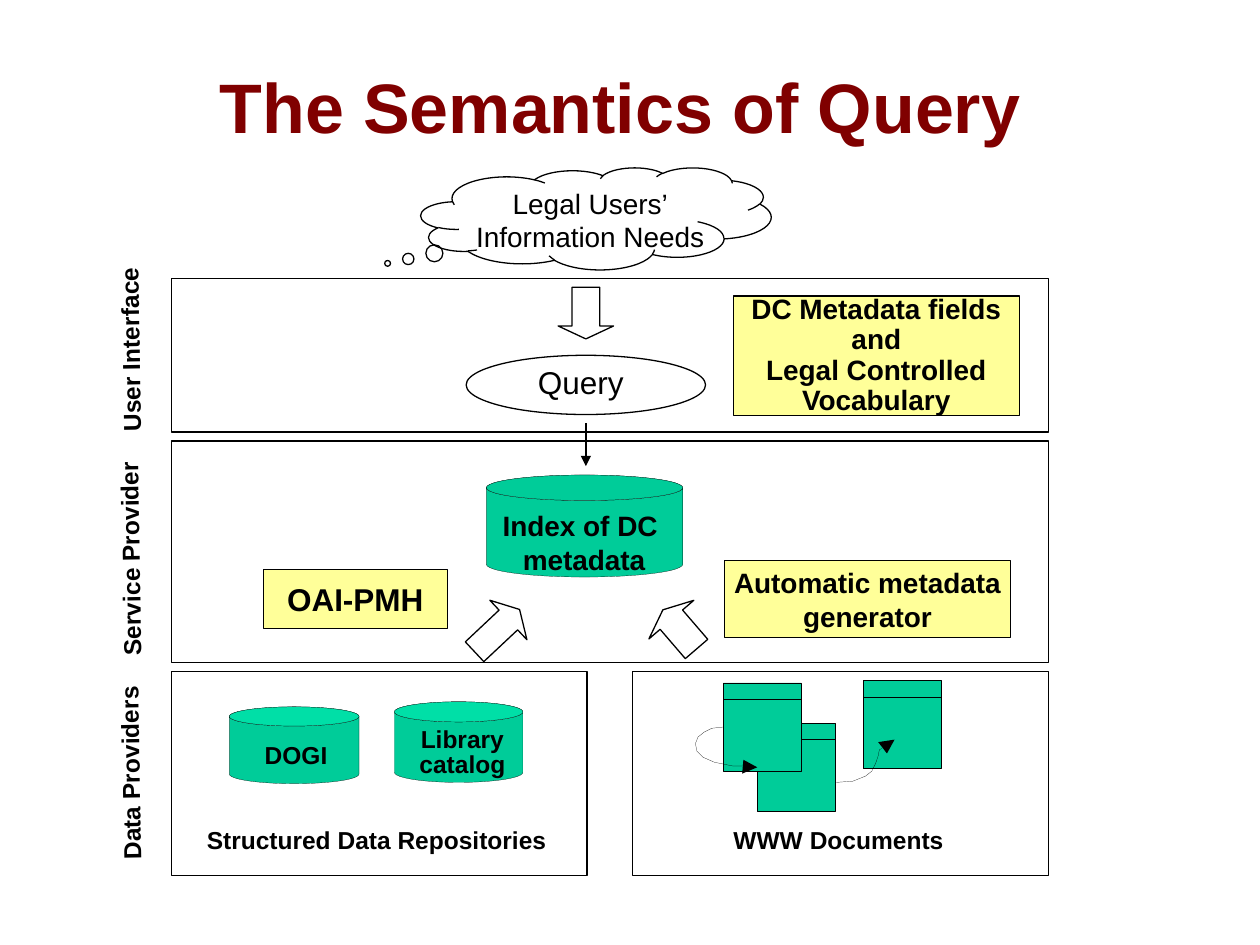
from pptx import Presentation
from pptx.dml.color import RGBColor
from pptx.enum.shapes import MSO_CONNECTOR, MSO_SHAPE
from pptx.enum.text import MSO_ANCHOR, MSO_AUTO_SIZE, PP_ALIGN
from pptx.oxml.ns import qn
from pptx.util import Inches, Pt
from lxml import etree

RECT, CAN, OVAL = MSO_SHAPE.RECTANGLE, MSO_SHAPE.CAN, MSO_SHAPE.OVAL
CLOUD, DOWN, RIGHT = MSO_SHAPE.CLOUD_CALLOUT, MSO_SHAPE.DOWN_ARROW, MSO_SHAPE.RIGHT_ARROW
MIDDLE, TOP, CENTER = MSO_ANCHOR.MIDDLE, MSO_ANCHOR.TOP, PP_ALIGN.CENTER
FIT, FIXED = MSO_AUTO_SIZE.SHAPE_TO_FIT_TEXT, MSO_AUTO_SIZE.NONE
STRAIGHT = MSO_CONNECTOR.STRAIGHT

THEME = {
    "font": "Arial", "ink": "000000", "title": "800000",
    "green": "00CC99", "light": "00DFA7", "note": "FFFF99",
    "huge": 40, "large": 18, "mid": 16, "small": 14,
    "hair": 0.1, "thin": 0.75, "thick": 1.5,
}

TITLE = "The Semantics of Query"
TITLE_BOX = (0.67, 0.21, 8.5, 1.25)

# Layers of the diagram: name, height, columns, nudge of the side label
LEFT, FIRST, WIDTH, GAP, GUTTER, SIDE = 1.36, 2.21, 6.96, 0.07, 0.36, 1.03
LAYERS = [
    ("User Interface", 1.22, 1, -0.04),
    ("Service Provider", 1.76, 1, 0.06),
    ("Data Providers", 1.62, 2, 0),
]

# Outlined shapes: kind, box, rotation, adjustments
OUTLINES = [
    (CLOUD, (3.34, 1.33, 2.78, 0.81), 0, (-0.595, 0.439)),
    (DOWN, (4.43, 2.28, 0.44, 0.41), 0, (0.5, 0.25)),
    (OVAL, (3.7, 2.82, 1.9, 0.47), 0, ()),
    (RIGHT, (3.7, 4.79, 0.49, 0.43), 316.8, (0.5, 0.283)),
    (RIGHT, (5.19, 4.76, 0.41, 0.47), 229.3, (0.5, 0.25)),
]

# Notes: lines, box, size, line spacing
NOTES = [
    (["DC Metadata fields", "and", "Legal Controlled", "Vocabulary"],
     (5.82, 2.35, 2.27, 0.95), "mid", 0.9),
    (["OAI-PMH"], (2.09, 4.52, 1.46, 0.47), "large", 1),
    (["Automatic metadata", "generator"], (5.75, 4.45, 2.27, 0.61), "mid", 1),
]

# Stores: box, fill of the lid; the lid is a quarter of the height
LID = 0.25
STORES = [
    ((3.86, 3.77, 1.56, 0.81), "green"),
    ((1.82, 5.61, 1.03, 0.61), "light"),
    ((3.13, 5.57, 1.02, 0.64), "light"),
]

# Labels: lines, box, size, bold, line spacing
PAD = 0.1
LABELS = [
    (["Legal Users’\vInformation Needs"], (3.78, 1.48, 1.81, 0.54), "mid", False, 1),
    (["Query"], (4.27, 2.88, 0.68, 0.3), "large", False, 1),
    (["Index of DC ", "metadata"], (3.99, 4.04, 1.29, 0.53), "mid", True, 1),
    (["DOGI"], (2.1, 5.87, 0.5, 0.23), "small", True, 1),
    (["Library", "catalog"], (3.33, 5.78, 0.68, 0.39), "small", True, 0.85),
    (["Structured Data Repositories"], (1.64, 6.55, 2.7, 0.23), "small", True, 1),
    (["WWW Documents"], (5.82, 6.55, 1.67, 0.23), "small", True, 1),
]

# Web pages, back to front, and the links between them: curve, arrowhead
PAGE_W, PAGE_H, HEADER = 0.62, 0.7, 0.13
PAGES = [(6.01, 5.74), (6.85, 5.4), (5.74, 5.42)]
LINKS = [
    ([(5.74, 5.77), (5.65, 5.78), (5.59, 5.81), (5.54, 5.85), (5.52, 5.9), (5.53, 5.96),
      (5.58, 6.01), (5.67, 6.05), (5.82, 6.08), (5.92, 6.08)],
     [(6.01, 6.09), (5.9, 6.03), (5.89, 6.14)]),
    ([(6.63, 6.21), (6.77, 6.2), (6.87, 6.16), (6.92, 6.12), (6.95, 6.06), (6.97, 6),
      (6.98, 5.95), (7, 5.94)],
     [(7.1, 5.87), (6.97, 5.89), (7.04, 5.98)]),
]
QUERY_ARROW = ((4.65, 3.36), (4.65, 3.7))


def color(name):
    return RGBColor.from_string(THEME[name])


def paint(shape, fill=None, line="thin"):
    shape.shadow.inherit = False
    if fill:
        shape.fill.solid()
        shape.fill.fore_color.rgb = color(fill)
    else:
        shape.fill.background()
    if line:
        shape.line.color.rgb = color("ink")
        shape.line.width = Pt(THEME[line])
    else:
        shape.line.fill.background()


def write(shape, lines, size, bold=True, space=1, ink="ink", anchor=MIDDLE, wrap=False, fit=FIXED):
    frame = shape.text_frame
    form = {"word_wrap": wrap, "auto_size": fit, "vertical_anchor": anchor, "margin_left": 0,
            "margin_right": 0, "margin_top": 0, "margin_bottom": 0}
    for key, value in form.items():
        setattr(frame, key, value)
    frame.text = "\n".join(lines)
    for para in frame.paragraphs:
        para.alignment, para.line_spacing = CENTER, space
        for run in para.runs:
            for key, value in {"name": THEME["font"], "size": Pt(THEME[size]), "bold": bold}.items():
                setattr(run.font, key, value)
            run.font.color.rgb = color(ink)


def draw(shapes, kind, box, fill=None, line="thin", turn=0, adjust=()):
    shape = shapes.add_shape(kind, *map(Inches, box))
    for i, value in enumerate(adjust):
        shape.adjustments[i] = value
    shape.rotation = turn
    paint(shape, fill, line)
    return shape


def label(shapes, lines, box, size, bold=True, space=1, turn=0):
    """Add a one-size label, with room to spare on both sides of its box."""
    x, y, w, h = box
    shape = shapes.add_textbox(*map(Inches, (x - PAD, y, w + 2 * PAD, h)))
    shape.rotation = turn
    write(shape, lines, size, bold, space, anchor=TOP, fit=FIT)


def join(shapes, start, end, width, head=False):
    link = shapes.add_connector(STRAIGHT, *map(Inches, start + end))
    link.line.color.rgb = color("ink")
    link.line.width = Pt(THEME[width])
    if head:
        etree.SubElement(link.line._get_or_add_ln(), qn("a:tailEnd"), type="triangle")
    etree.SubElement(link._element.spPr, qn("a:effectLst"))


def trace(shapes, points, close, fill, line):
    """Draw an outline; the builder needs whole numbers, so it counts hundredths."""
    whole = [(round(x * 100), round(y * 100)) for x, y in points]
    form = shapes.build_freeform(*whole[0], scale=Inches(0.01))
    form.add_line_segments(whole[1:], close=close)
    paint(form.convert_to_shape(), fill, line)


def main():
    deck = Presentation()
    deck.slide_width, deck.slide_height = Inches(10), Inches(7.5)
    slide = deck.slides.add_slide(deck.slide_layouts[5])
    shapes = slide.shapes

    title = shapes.title
    title.left, title.top, title.width, title.height = map(Inches, TITLE_BOX)
    write(title, [TITLE], "huge", ink="title", wrap=True)

    top = FIRST
    for name, high, cols, nudge in LAYERS:
        wide = (WIDTH - GUTTER * (cols - 1)) / cols
        for col in range(cols):
            draw(shapes, RECT, (LEFT + col * (wide + GUTTER), top, wide, high))
        middle = top + high / 2 + nudge
        label(shapes, [name], (SIDE - 0.8, middle - 0.12, 1.6, 0.23), "small", turn=269)
        top += high + GAP

    for kind, box, turn, adjust in OUTLINES:
        draw(shapes, kind, box, turn=turn, adjust=adjust)
    for lines, box, size, space in NOTES:
        write(draw(shapes, RECT, box, "note"), lines, size, space=space)
    for (x, y, w, h), lid in STORES:
        draw(shapes, CAN, (x, y, w, h), "green", "hair", adjust=(LID,))
        draw(shapes, OVAL, (x, y, w, h * LID), lid, "hair")
    for item in LABELS:
        label(shapes, *item)

    for x, y in PAGES:
        draw(shapes, RECT, (x, y, PAGE_W, PAGE_H), "green", "hair")
        join(shapes, (x, y + HEADER), (x + PAGE_W, y + HEADER), "hair")
    for curve, head in LINKS:
        trace(shapes, curve, False, None, "hair")
        trace(shapes, head, True, "ink", None)
    join(shapes, *QUERY_ARROW, "thick", head=True)

    deck.save("out.pptx")


if __name__ == "__main__":
    main()
